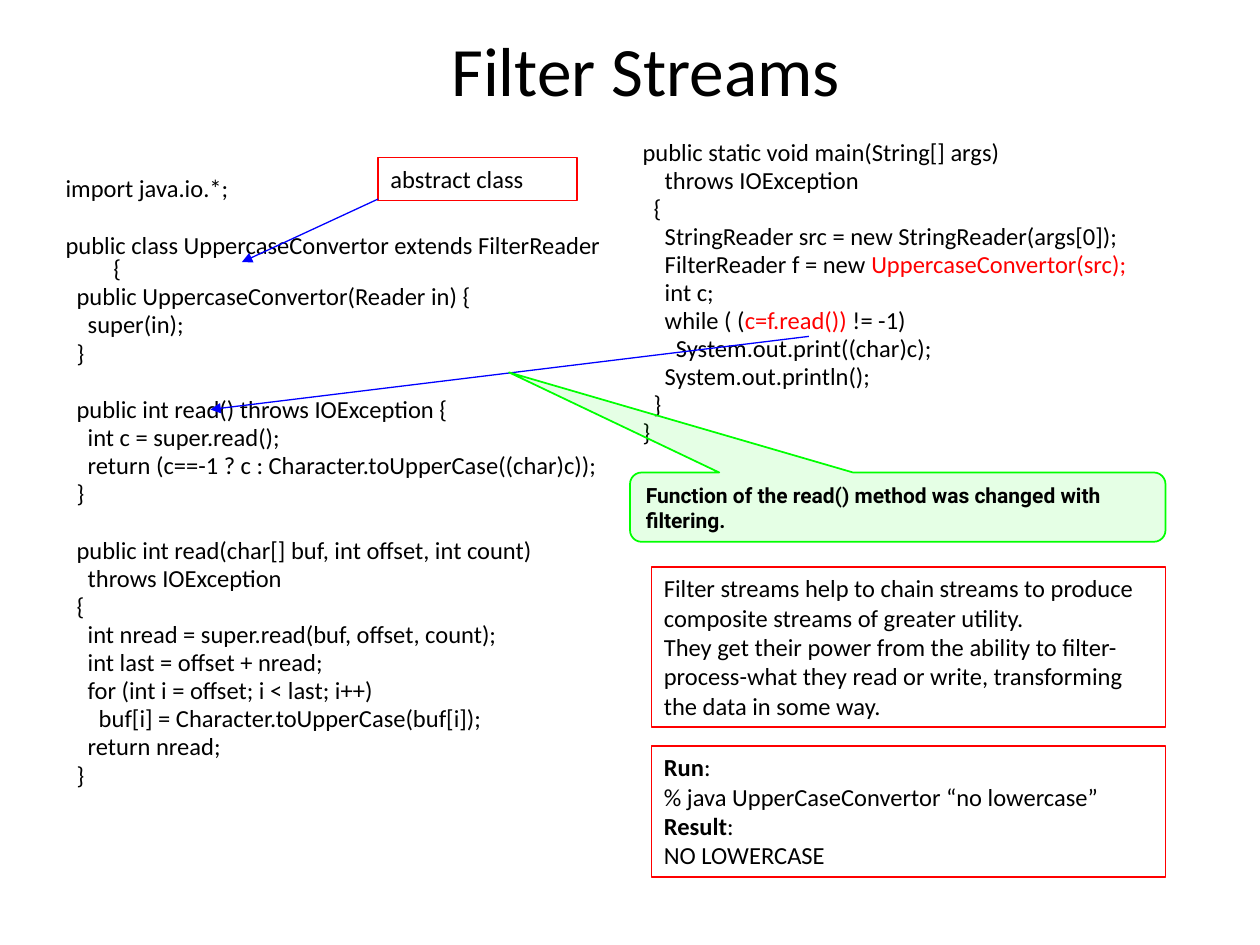
"""Build the Filter Streams slide with code, notes, arrows and a callout."""
import pptx
import pptx.dml.color
import pptx.enum.shapes
import pptx.enum.text
import pptx.oxml
import pptx.oxml.ns
import pptx.util

Inches = pptx.util.Inches
Pt = pptx.util.Pt
SHAPE = pptx.enum.shapes.MSO_SHAPE
FIT = pptx.enum.text.MSO_AUTO_SIZE
ANCHOR = pptx.enum.text.MSO_ANCHOR
ALIGN = pptx.enum.text.PP_ALIGN

COLORS = {"text": "000000", "accent": "FF0000", "arrow": "0000FF", "callout": "00FF00"}
LINE_GAP, BLOCK_GAP = 2.6, 18.9

TITLE = ("Filter Streams", (0.5, 0.17, 9.25, 0.75))

# A tuple line alternates plain and emphasised spans.
CODE = [
    ((0.42, 1.37, 4.46, 5.88), [
        ["import java.io.*;"],
        ["public class UppercaseConvertor extends FilterReader {",
         "  public UppercaseConvertor(Reader in) {",
         "    super(in);",
         "  }"],
        ["  public int read() throws IOException {",
         "    int c = super.read();",
         "    return (c==-1 ? c : Character.toUpperCase((char)c));",
         "  }"],
        ["  public int read(char[] buf, int offset, int count)",
         "    throws IOException",
         "  {",
         "    int nread = super.read(buf, offset, count);",
         "    int last = offset + nread;",
         "    for (int i = offset; i < last; i++)",
         "      buf[i] = Character.toUpperCase(buf[i]);",
         "    return nread;",
         "  }"],
    ]),
    ((5, 1.08, 4.75, 5.92), [
        ["public static void main(String[] args)",
         "    throws IOException",
         "  {",
         "    StringReader src = new StringReader(args[0]);",
         ("    FilterReader f = new ", "UppercaseConvertor(src);"),
         "    int c;",
         ("    while ( (", "c=f.read())", " != -1)"),
         "      System.out.print((char)c);",
         "    System.out.println();",
         "  }",
         "}"],
    ]),
]

NOTES = [
    ((5.17, 5.92, 4.08, 1.04), [
        ("", "Run", ":"), "% java UpperCaseConvertor “no lowercase”",
        ("", "Result", ":"), "NO LOWERCASE"]),
    ((5.17, 4.5, 4.08, 1.27), [
        "Filter streams help to chain streams to produce composite streams of greater utility.",
        "They get their power from the ability to filter-process-what they read or write, "
        "transforming the data in some way."]),
    ((3, 1.25, 1.58, 0.34), ["abstract class"]),
]

ARROWS = [((3, 1.58), (1.92, 2.08)), ((6.42, 2.67), (1.67, 3.25))]

CALLOUT = ("Function of the read() method was changed with filtering.",
           (5, 3.75, 4.25, 0.55), (-0.726, -1.945, 0.167))


def color(name):
    return pptx.dml.color.RGBColor.from_string(COLORS[name])


def element(tag, **attributes):
    node = pptx.oxml.parse_xml(f"<a:{tag} {pptx.oxml.ns.nsdecls('a')}/>")
    for key, value in attributes.items():
        node.set(key, value)
    return node


def place(box, bounds):
    box.left, box.top, box.width, box.height = map(Inches, bounds)


def style(span, size=14, font="Calibri", ink="text", bold=False):
    span.font.size, span.font.name, span.font.bold = Pt(size), font, bold
    span.font.color.rgb = color(ink)


def write(para, line, **emphasis):
    spans = (line,) if isinstance(line, str) else line
    for index, text in enumerate(spans):
        if text:
            span = para.add_run()
            span.text = text
            style(span, **(emphasis if index % 2 else {}))


def paragraphs(frame, count):
    return [frame.paragraphs[0]] + [frame.add_paragraph() for _ in range(count - 1)]


def fill_code(box, bounds, blocks):
    place(box, bounds)
    frame = box.text_frame
    frame.auto_size = FIT.NONE
    lines = [(line, LINE_GAP if index else BLOCK_GAP)
             for block in blocks for index, line in enumerate(block)]
    for number, (para, (line, gap)) in enumerate(zip(paragraphs(frame, len(lines)), lines)):
        properties = para._p.get_or_add_pPr()
        properties.set("marL", str(Inches(0.38)))
        properties.set("indent", str(-Inches(0.38)))
        properties.append(element("buNone"))
        para.line_spacing = 0.8
        para.space_before = Pt(gap if number else 0)
        write(para, line, ink="accent")


def add_box(page, kind, bounds, line_color, width):
    box = page.shapes.add_shape(kind, *map(Inches, bounds))
    box.shadow.inherit = False
    box.fill.background()
    box.line.color.rgb = color(line_color)
    box.line.width = Pt(width)
    box.text_frame.word_wrap = True
    box.text_frame.vertical_anchor = ANCHOR.TOP
    return box


def add_note(page, bounds, lines):
    frame = add_box(page, SHAPE.RECTANGLE, bounds, "accent", 0.75).text_frame
    frame.auto_size = FIT.SHAPE_TO_FIT_TEXT
    for para, line in zip(paragraphs(frame, len(lines)), lines):
        para.alignment = ALIGN.LEFT
        write(para, line, bold=True)


def add_arrow(page, start, end):
    arrow = page.shapes.add_connector(
        pptx.enum.shapes.MSO_CONNECTOR.STRAIGHT, *map(Inches, start + end))
    arrow.line.color.rgb = color("arrow")
    arrow.line.width = Pt(0.75)
    arrow.line._get_or_add_ln().append(element("tailEnd", type="triangle"))
    arrow._element.spPr.append(element("effectLst"))


def add_callout(page, text, bounds, adjustments):
    box = add_box(page, SHAPE.ROUNDED_RECTANGULAR_CALLOUT, bounds, "callout", 1)
    for index, value in enumerate(adjustments):
        box.adjustments[index] = value
    box.fill.solid()
    box.fill.fore_color.rgb = color("callout")
    tint = box._element.spPr.find(pptx.oxml.ns.qn("a:solidFill"))[0]
    tint.append(element("alpha", val="10000"))
    para = box.text_frame.paragraphs[0]
    para.text = text
    para.alignment = ALIGN.LEFT
    style(para.runs[0], size=12, font="Roboto", bold=True)


def main():
    deck = pptx.Presentation()
    deck.slide_width, deck.slide_height = Inches(10), Inches(7.5)
    page = deck.slides.add_slide(deck.slide_layouts.get_by_name("Two Content"))
    title, *bodies = page.placeholders
    text, bounds = TITLE
    place(title, bounds)
    title.text_frame.text = text
    title.text_frame.auto_size = FIT.NONE
    title.text_frame.vertical_anchor = ANCHOR.MIDDLE
    title.text_frame.paragraphs[0].alignment = ALIGN.CENTER
    style(title.text_frame.paragraphs[0].runs[0], size=39.6)
    for body, (bounds, blocks) in zip(bodies, CODE):
        fill_code(body, bounds, blocks)
    for bounds, lines in NOTES:
        add_note(page, bounds, lines)
    for start, end in ARROWS:
        add_arrow(page, start, end)
    add_callout(page, *CALLOUT)
    deck.save("out.pptx")


if __name__ == "__main__":
    main()
